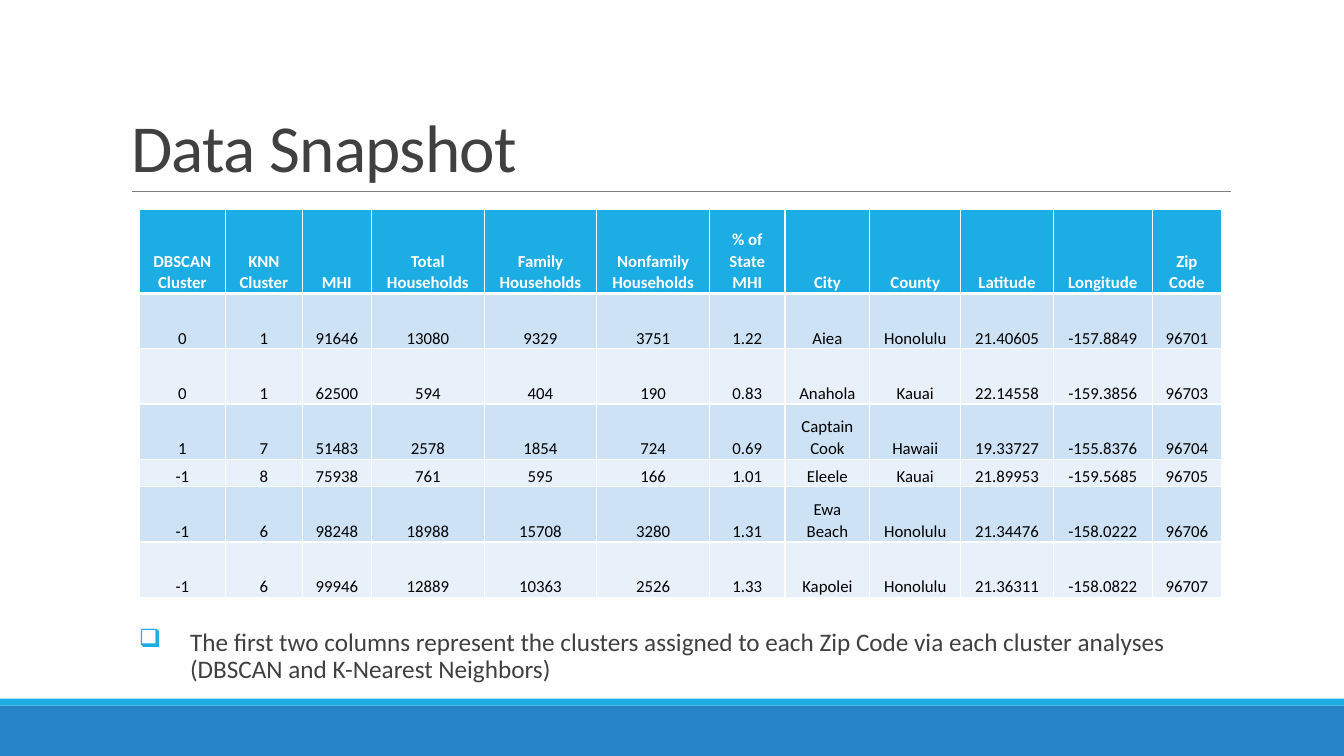
from dataclasses import dataclass

from lxml import etree
from pptx import Presentation
from pptx.dml.color import RGBColor
from pptx.enum.shapes import MSO_CONNECTOR, MSO_SHAPE
from pptx.enum.text import MSO_ANCHOR, MSO_AUTO_SIZE, PP_ALIGN
from pptx.oxml.ns import qn
from pptx.util import Pt

RECTANGLE = MSO_SHAPE.RECTANGLE
STRAIGHT = MSO_CONNECTOR.STRAIGHT
BOTTOM, TOP = MSO_ANCHOR.BOTTOM, MSO_ANCHOR.TOP
LEFT, CENTER = PP_ALIGN.LEFT, PP_ALIGN.CENTER
NO_AUTOFIT = MSO_AUTO_SIZE.NONE
TITLE_ONLY = 5


@dataclass(frozen=True)
class Theme:
    font: str = "Calibri"
    accent: str = "1CADE4"
    footer: str = "2683C6"
    rule: str = "808080"
    text: str = "404040"
    cell_text: str = "000000"
    white: str = "FFFFFF"
    bands: tuple = ("CDE3F5", "E8F1FA")
    title_size: int = 48
    note_size: int = 18
    table_size: int = 12


def color(value):
    return RGBColor.from_string(value)


def apply(target, values):
    for name, value in values.items():
        setattr(target, name, value)


class SlideBuilder:
    def __init__(self, slide, theme):
        self.slide, self.theme = slide, theme

    def add_text(self, paragraph, text, size, text_color, bold=False, **paragraph_format):
        apply(paragraph, paragraph_format)
        run = paragraph.add_run()
        run.text = text
        apply(run.font, {"name": self.theme.font, "size": Pt(size), "bold": bold})
        run.font.color.rgb = color(text_color)
        return run

    def bar(self, left, top, width, height, fill):
        shape = self.slide.shapes.add_shape(RECTANGLE, Pt(left), Pt(top), Pt(width), Pt(height))
        shape.shadow.inherit = False
        shape.fill.solid()
        shape.fill.fore_color.rgb = color(fill)
        shape.line.fill.background()

    def rule(self, left, right, y):
        line = self.slide.shapes.add_connector(STRAIGHT, Pt(left), Pt(y), Pt(right), Pt(y))
        line.line.color.rgb = color(self.theme.rule)
        line.line.width = Pt(0.5)
        etree.SubElement(line._element.spPr, qn("a:effectLst"))

    def title(self, text, left, top, width, height):
        shape = self.slide.shapes.title
        apply(shape, {"left": Pt(left), "top": Pt(top), "width": Pt(width), "height": Pt(height)})
        apply(shape.text_frame, {"word_wrap": True, "auto_size": NO_AUTOFIT,
                                 "vertical_anchor": BOTTOM})
        run = self.add_text(shape.text_frame.paragraphs[0], text, self.theme.title_size,
                            self.theme.text, alignment=LEFT, line_spacing=0.85)
        run._r.get_or_add_rPr().set("spc", "-50")

    def bullet(self, text, left, top, width, height, indent):
        frame = self.slide.shapes.add_textbox(Pt(left), Pt(top), Pt(width), Pt(height)).text_frame
        apply(frame, {"word_wrap": True, "margin_left": 0, "margin_right": 0,
                      "vertical_anchor": TOP})
        paragraph = frame.paragraphs[0]
        self.add_text(paragraph, text, self.theme.note_size, self.theme.text, alignment=LEFT,
                      line_spacing=0.9, space_before=Pt(12), space_after=Pt(2))
        properties = paragraph._p.get_or_add_pPr()
        properties.set("marL", str(Pt(indent)))
        properties.set("indent", str(-Pt(indent)))
        bullet_color = etree.SubElement(properties, qn("a:buClr"))
        etree.SubElement(bullet_color, qn("a:srgbClr"), val=self.theme.accent)
        etree.SubElement(properties, qn("a:buChar"), char="\u2751")

    def borders(self, cell, edge_widths):
        properties = cell._tc.get_or_add_tcPr()
        top_width, bottom_width = edge_widths
        sides = {"lnL": 1, "lnR": 1, "lnT": top_width, "lnB": bottom_width}
        for position, (side, width) in enumerate(sides.items()):
            line = etree.Element(qn(f"a:{side}"), w=str(Pt(width)))
            fill = etree.SubElement(line, qn("a:solidFill"))
            etree.SubElement(fill, qn("a:srgbClr"), val=self.theme.white)
            properties.insert(position, line)

    def table(self, rows, left, top, widths, heights):
        theme = self.theme
        table = self.slide.shapes.add_table(len(rows), len(widths), Pt(left), Pt(top),
                                            Pt(sum(widths)), Pt(sum(heights))).table
        table.horz_banding = False
        for column, width in zip(table.columns, widths):
            column.width = Pt(width)
        for index, (row, height, values) in enumerate(zip(table.rows, heights, rows)):
            row.height = Pt(height)
            header = index == 0
            fill = theme.accent if header else theme.bands[(index - 1) % 2]
            text_color = theme.white if header else theme.cell_text
            edge_widths = (3 if index == 1 else 1, 3 if header else 1)
            for cell, value in zip(row.cells, values):
                apply(cell, {"margin_top": 0, "margin_bottom": 0, "margin_left": Pt(7.2),
                             "margin_right": Pt(7.2), "vertical_anchor": BOTTOM})
                cell.fill.solid()
                cell.fill.fore_color.rgb = color(fill)
                self.borders(cell, edge_widths)
                self.add_text(cell.text_frame.paragraphs[0], value, theme.table_size, text_color,
                              bold=header, alignment=CENTER, line_spacing=1.07)


HEADINGS = ("DBSCAN Cluster", "KNN Cluster", "MHI", "Total Households", "Family Households",
            "Nonfamily Households", "% of State MHI", "City", "County", "Latitude",
            "Longitude", "Zip Code")
ZIP_CODES = (
    ("0", "1", "91646", "13080", "9329", "3751", "1.22", "Aiea", "Honolulu",
     "21.40605", "-157.8849", "96701"),
    ("0", "1", "62500", "594", "404", "190", "0.83", "Anahola", "Kauai",
     "22.14558", "-159.3856", "96703"),
    ("1", "7", "51483", "2578", "1854", "724", "0.69", "Captain Cook", "Hawaii",
     "19.33727", "-155.8376", "96704"),
    ("-1", "8", "75938", "761", "595", "166", "1.01", "Eleele", "Kauai",
     "21.89953", "-159.5685", "96705"),
    ("-1", "6", "98248", "18988", "15708", "3280", "1.31", "Ewa Beach", "Honolulu",
     "21.34476", "-158.0222", "96706"),
    ("-1", "6", "99946", "12889", "10363", "2526", "1.33", "Kapolei", "Honolulu",
     "21.36311", "-158.0822", "96707"),
)
COLUMN_WIDTHS = (61.9, 54.7, 49.5, 80.5, 80.5, 80.5, 54, 60.5, 65, 66.2, 70.6, 49.5)
ROW_HEIGHTS = (59.8, 39.5, 39.5, 39.5, 19.6, 39.5, 39.5)

# Presentation and slide
presentation = Presentation()
apply(presentation, {"slide_width": Pt(960), "slide_height": Pt(540)})
slide = presentation.slides.add_slide(presentation.slide_layouts[TITLE_ONLY])
theme = Theme()
builder = SlideBuilder(slide, theme)

# Footer bands and title rule
builder.bar(0, 504, 960, 36, theme.footer)
builder.bar(0, 499, 960, 5, theme.accent)
builder.rule(94.3, 879, 136.8)

# Title, data table and note
builder.title("Data Snapshot", 86.4, 22.6, 792, 114.2)
builder.table((HEADINGS, *ZIP_CODES), 99.3, 149.8, COLUMN_WIDTHS, ROW_HEIGHTS)
builder.bullet("The first two columns represent the clusters assigned to each Zip Code via each "
               "cluster analyses (DBSCAN and K-Nearest Neighbors)", 99.3, 446.4, 792, 56, 36.5)

presentation.save("out.pptx")
